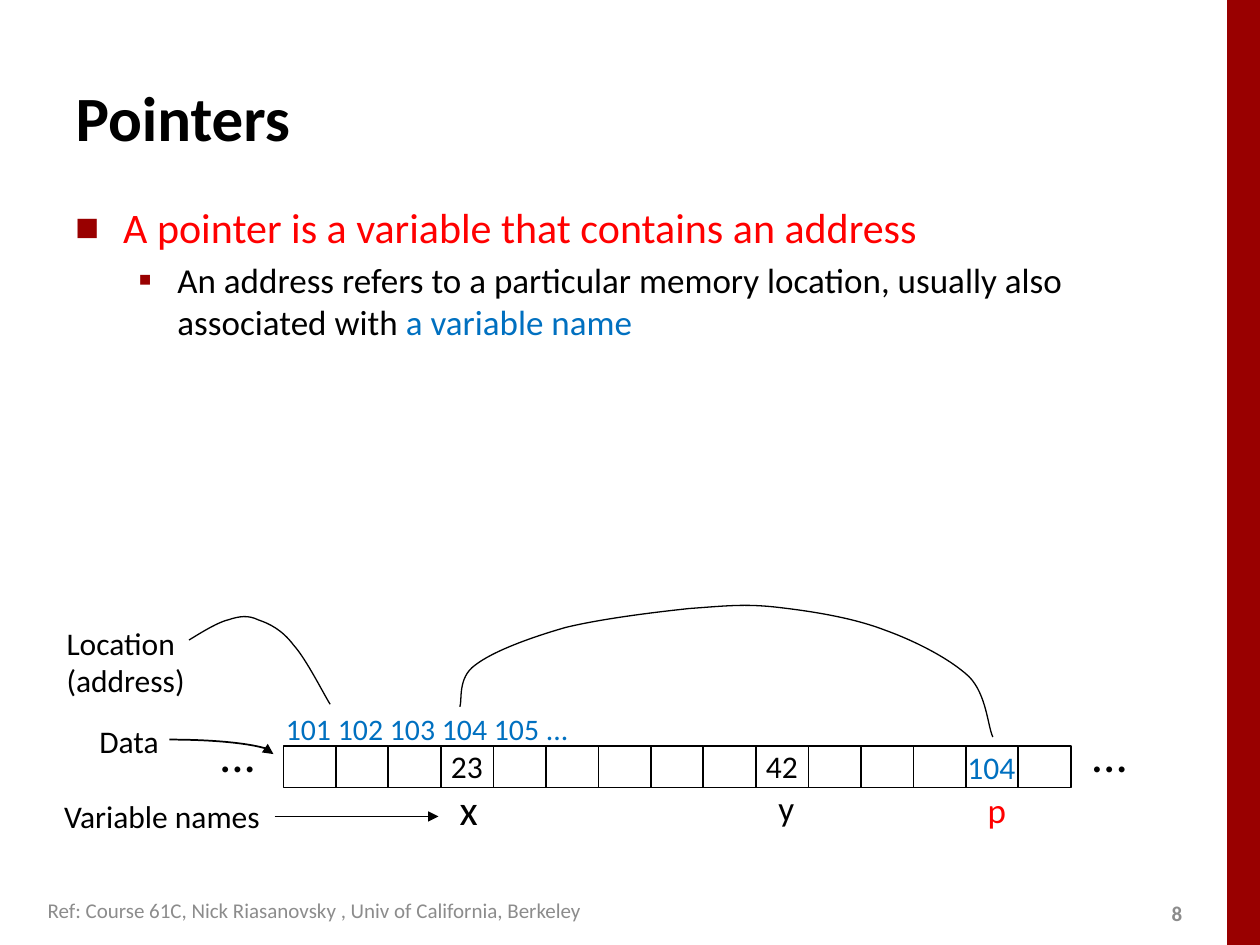
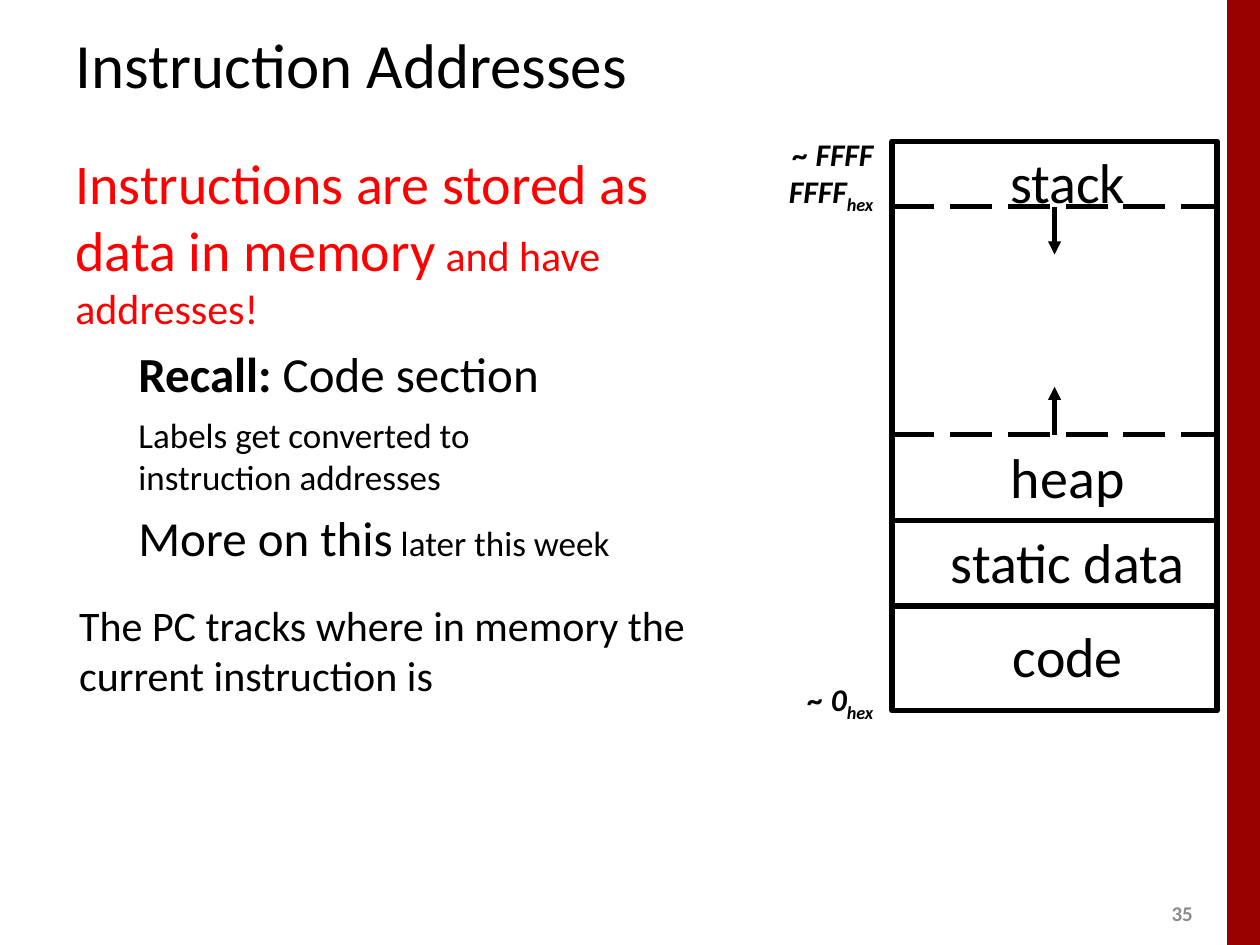
from dataclasses import dataclass
from typing import NamedTuple

from lxml import etree
from pptx import Presentation
from pptx.dml.color import RGBColor
from pptx.enum.dml import MSO_LINE
from pptx.enum.shapes import MSO_CONNECTOR, MSO_SHAPE
from pptx.enum.text import MSO_ANCHOR, MSO_AUTO_SIZE, PP_ALIGN
from pptx.oxml.ns import qn
from pptx.util import Inches, Pt

BLACK = RGBColor(0x00, 0x00, 0x00)
WHITE = RGBColor(0xFF, 0xFF, 0xFF)
RED = RGBColor(0xFF, 0x00, 0x00)
BLUE = RGBColor(0x00, 0x70, 0xC0)
GRAY = RGBColor(0x8C, 0x8C, 0x8C)
BAND_RED = RGBColor(0x99, 0x00, 0x00)
FONT = "Calibri"


class Area(NamedTuple):
    left: float
    top: float
    width: float
    height: float

    def lengths(self) -> list:
        return [Inches(value) for value in self]


class Span(NamedTuple):
    text: str
    size: float | None = None
    color: RGBColor | None = None
    bold: bool | None = None
    subscript: bool = False


class Bullet(NamedTuple):
    symbol: str
    percent: int


@dataclass
class Line:
    """One paragraph; spans only name what differs from it."""
    spans: list[Span]
    size: float
    color: RGBColor = BLACK
    bold: bool = False
    italic: bool = False
    align: PP_ALIGN = PP_ALIGN.LEFT
    margin: float = 0
    indent: float = 0
    before: float = 0
    bullet: Bullet | None = None


class Label(NamedTuple):
    text: str
    area: Area
    size: float = 18
    color: RGBColor = BLACK


def add_bullet(properties, bullet: Bullet) -> None:
    color = etree.SubElement(properties, qn("a:buClr"))
    etree.SubElement(color, qn("a:srgbClr"), val=str(BAND_RED))
    etree.SubElement(properties, qn("a:buSzPct"), val=str(bullet.percent * 1000))
    etree.SubElement(properties, qn("a:buFont"), typeface=FONT)
    etree.SubElement(properties, qn("a:buChar"), char=bullet.symbol)


def fill_paragraph(para, line: Line) -> None:
    para.alignment = line.align
    para.space_before = Pt(line.before)
    properties = para._p.get_or_add_pPr()
    properties.set("marL", str(Inches(line.margin)))
    properties.set("indent", str(Inches(line.indent)))
    if line.bullet:
        add_bullet(properties, line.bullet)
    para.font.name = FONT
    para.font.size = Pt(line.size)
    para.font.color.rgb = line.color
    para.font.bold = line.bold
    para.font.italic = line.italic
    for span in line.spans:
        for index, piece in enumerate(span.text.split("\n")):
            if index:
                para.add_line_break()
            run = para.add_run()
            run.text = piece
            if span.size:
                run.font.size = Pt(span.size)
            if span.color is not None:
                run.font.color.rgb = span.color
            if span.bold is not None:
                run.font.bold = span.bold
            if span.subscript:
                run._r.get_or_add_rPr().set("baseline", "-25000")


def add_text(page, area: Area, lines: list[Line], anchor=MSO_ANCHOR.TOP) -> None:
    box = page.shapes.add_textbox(*area.lengths())
    frame = box.text_frame
    frame.word_wrap = True
    frame.vertical_anchor = anchor
    for index, line in enumerate(lines):
        para = frame.add_paragraph() if index else frame.paragraphs[0]
        fill_paragraph(para, line)


def add_label(page, label: Label, align=PP_ALIGN.LEFT) -> None:
    lines = [Line([Span(text)], label.size, label.color, align=align)
             for text in label.text.split("\n")]
    add_text(page, label.area, lines)


def set_line(shape, width: float, color: RGBColor = BLACK) -> None:
    shape.line.color.rgb = color
    shape.line.width = Pt(width)


def add_arrowhead(shape) -> None:
    outline = shape.element.xpath(".//a:ln")[0]
    etree.SubElement(outline, qn("a:tailEnd"), type="triangle")


def add_outline(page, area: Area, width: float, kind=MSO_SHAPE.RECTANGLE):
    shape = page.shapes.add_shape(kind, *area.lengths())
    shape.shadow.inherit = False
    shape.fill.background()
    set_line(shape, width)
    return shape


def add_line(page, start: tuple, end: tuple, width: float):
    connector = page.shapes.add_connector(
        MSO_CONNECTOR.STRAIGHT, *[Inches(value) for value in start + end])
    set_line(connector, width)
    etree.SubElement(connector.element.spPr, qn("a:effectLst"))
    return connector


def add_curve(page, points: list[tuple]) -> None:
    """Draw joined cubic curves: a start, then two handles and an end for each."""
    places = [(Inches(x), Inches(y)) for x, y in points]
    builder = page.shapes.build_freeform(*places[0])
    builder.add_line_segments(places[1:], close=False)
    shape = builder.convert_to_shape()
    shape.shadow.inherit = False
    shape.fill.background()
    set_line(shape, 0.75)
    outline = shape.element.xpath(".//a:path")[0]
    segments = outline.findall(qn("a:lnTo"))
    for first in range(0, len(segments), 3):
        curve = etree.SubElement(outline, qn("a:cubicBezTo"))
        for segment in segments[first:first + 3]:
            curve.append(segment[0])
            outline.remove(segment)


def add_page(deck, title: str, area: Area, number: int, bold: bool = False):
    page = deck.slides.add_slide(deck.slide_layouts[5])
    band = page.shapes.add_shape(
        MSO_SHAPE.RECTANGLE, *Area(9.74, 0, 0.26, 7.5).lengths())
    band.shadow.inherit = False
    band.fill.solid()
    band.fill.fore_color.rgb = BAND_RED
    band.line.fill.background()
    add_text(page, Area(9.2, 7.1, 0.4, 0.3),
             [Line([Span(str(number))], 12, GRAY, bold=True)], MSO_ANCHOR.MIDDLE)
    heading = page.shapes.title
    heading.left, heading.top, heading.width, heading.height = area.lengths()
    heading.text_frame.auto_size = MSO_AUTO_SIZE.NONE
    heading.text_frame.vertical_anchor = MSO_ANCHOR.MIDDLE
    fill_paragraph(heading.text_frame.paragraphs[0],
                   Line([Span(title)], 36, bold=bold))
    return page


def add_pointers(deck) -> None:
    page = add_page(deck, "Pointers", Area(0.5, 0.3, 9, 1.25), 8, bold=True)
    add_text(page, Area(0.5, 1.55, 9, 1.5), [
        Line([Span("A pointer is a variable that contains an address")], 24, RED,
             margin=0.38, indent=-0.38, before=4.8, bullet=Bullet("■", 60)),
        Line([Span("An address refers to a particular memory location, "
                   "usually also associated with "),
              Span("a variable name", color=BLUE)], 20,
             margin=0.81, indent=-0.31, before=4, bullet=Bullet("▪", 110)),
    ])

    cell_count = 15
    cell_width = 6.25 / cell_count
    for index in range(cell_count):
        add_outline(page, Area(2.25 + index * cell_width, 5.92, cell_width, 0.33), 1)

    labels = [
        Label("23", Area(3.48, 5.88, 0.48, 0.4)),
        Label("42", Area(5.98, 5.88, 0.48, 0.4)),
        Label("104", Area(7.58, 5.89, 0.6, 0.4), color=BLUE),
        Label("x", Area(3.55, 6.17, 0.37, 0.5), 24),
        Label("y", Area(6.08, 6.19, 0.36, 0.43), 20),
        Label("p", Area(7.74, 6.21, 0.36, 0.43), 20, RED),
        Label("...", Area(1.64, 5.69, 0.6, 0.57), 28),
        Label("...", Area(8.56, 5.69, 0.6, 0.57), 28),
        Label("101 102 103 104 105 ...", Area(2.17, 5.59, 2.6, 0.39), 17, BLUE),
        Label("Location\n(address)", Area(0.43, 4.9, 1.2, 0.71)),
        Label("Data", Area(0.69, 5.68, 0.75, 0.4)),
        Label("Variable names", Area(0.41, 6.28, 1.85, 0.4)),
    ]
    for label in labels:
        add_label(page, label)

    add_arrowhead(add_outline(page, Area(0.52, 5.87, 1.65, 0.23), 1, MSO_SHAPE.ARC))
    add_arrowhead(add_line(page, (2.18, 6.48), (3.48, 6.48), 1))
    add_curve(page, [
        (1.5, 5.08), (1.55, 5.05), (1.72, 4.94), (1.81, 4.92),
        (1.9, 4.89), (1.97, 4.88), (2.05, 4.92),
        (2.14, 4.95), (2.24, 5), (2.33, 5.12),
        (2.43, 5.23), (2.57, 5.51), (2.62, 5.59)])
    add_curve(page, [
        (7.88, 5.85), (7.84, 5.77), (7.83, 5.51), (7.69, 5.37),
        (7.54, 5.23), (7.27, 5.09), (7.02, 5),
        (6.76, 4.9), (6.43, 4.85), (6.17, 4.82),
        (5.91, 4.79), (5.75, 4.81), (5.47, 4.83),
        (5.19, 4.86), (4.78, 4.91), (4.49, 4.98),
        (4.21, 5.06), (3.91, 5.17), (3.77, 5.28),
        (3.63, 5.38), (3.67, 5.56), (3.65, 5.61)])
    reference = "Ref: Course 61C, Nick Riasanovsky , Univ of California, Berkeley"
    add_text(page, Area(0.28, 7.03, 5.74, 0.39),
             [Line([Span(reference)], 12, GRAY)], MSO_ANCHOR.MIDDLE)


def add_instruction_addresses(deck) -> None:
    page = add_page(deck, "Instruction Addresses", Area(0.5, 0.08, 9, 0.85), 35)
    add_text(page, Area(0.5, 1.13, 5.86, 5.4), [
        Line([Span("Instructions are stored as\ndata in memory", 32),
              Span(" and have\naddresses!")], 24, RED),
        Line([Span("Recall:", bold=True), Span(" Code section")], 28,
             margin=0.5, before=5.6),
        Line([Span("Labels get converted to\ninstruction addresses")], 20,
             margin=0.5, before=6.4),
        Line([Span("More on this", 28), Span(" later this week")], 20,
             margin=0.5, before=5.6),
        Line([Span("The PC tracks where in memory the current instruction is")],
             24, margin=0.03, before=19),
    ])

    left, width = 7.08, 2.58
    stack_end, heap_top, static_top, code_top = 1.64, 3.45, 4.13, 4.81
    free_space = add_outline(
        page, Area(left, stack_end, width, heap_top - stack_end), 1)
    free_space.fill.solid()
    free_space.fill.fore_color.rgb = WHITE
    set_line(free_space, 1, WHITE)
    add_outline(page, Area(left, 1.12, width, 4.52), 3)
    add_outline(page, Area(left, code_top, width, 0.83), 1)
    add_outline(page, Area(left, static_top, width, code_top - static_top), 3)

    middle = left + width / 2
    for edge, side, tip in [(heap_top, 2, 3.07), (stack_end, 0, 2.02)]:
        border = add_line(page, (left, edge), (left + width, edge), 3)
        border.line.dash_style = MSO_LINE.LONG_DASH
        growth = add_line(page, (middle, edge), (middle, tip), 2.5)
        growth.begin_connect(free_space, side)
        add_arrowhead(growth)

    for name, top in [("stack", 1.12), ("heap", 3.46),
                      ("static data", 4.14), ("code", 4.88)]:
        add_label(page, Label(name, Area(7.39, top, 2.17, 0.58), 32),
                  PP_ALIGN.CENTER)
    for address, area in [("~ FFFF FFFF", Area(5.48, 1.02, 1.55, 0.36)),
                          ("~ 0", Area(6.26, 5.35, 0.77, 0.36))]:
        add_text(page, area, [
            Line([Span(address), Span("hex", subscript=True)], 18,
                 bold=True, italic=True, align=PP_ALIGN.RIGHT)])


def main() -> None:
    deck = Presentation()
    deck.slide_width, deck.slide_height = Inches(10), Inches(7.5)
    add_pointers(deck)
    add_instruction_addresses(deck)
    deck.save("out.pptx")


if __name__ == "__main__":
    main()
